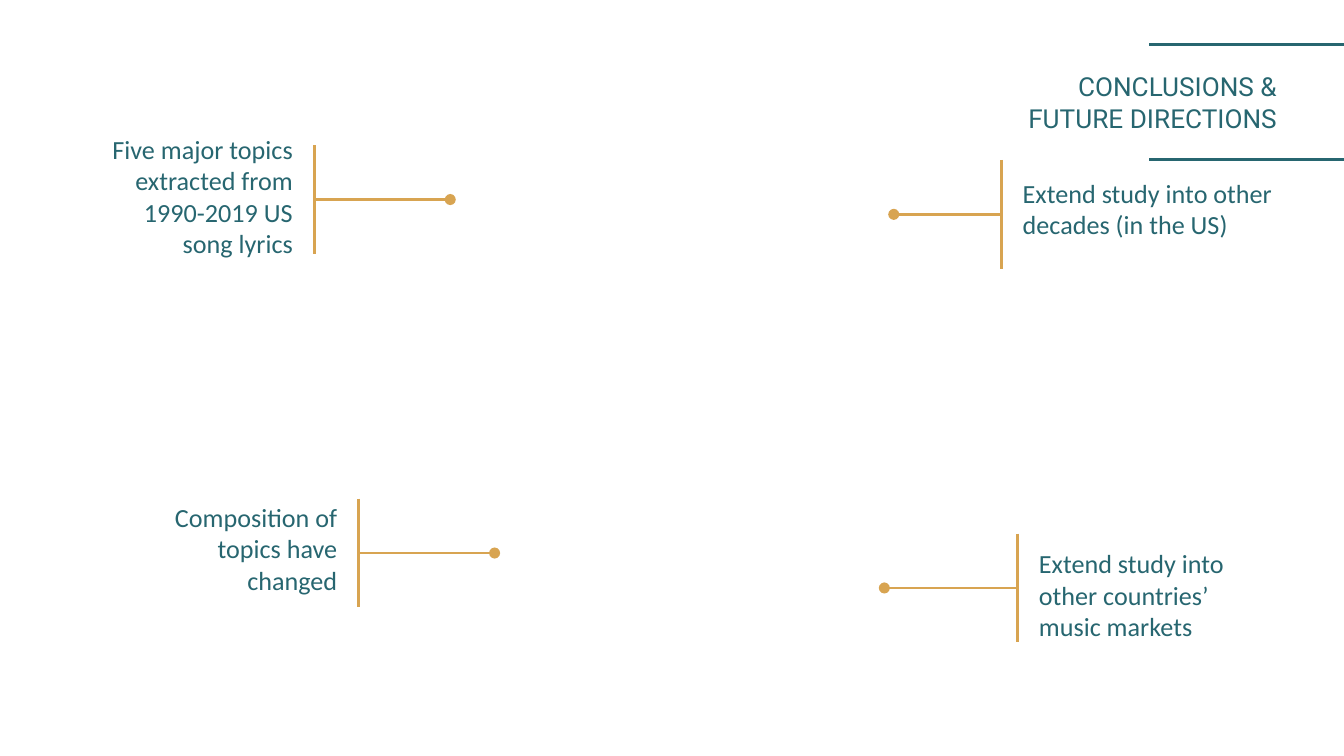
from dataclasses import dataclass

import lxml.etree
import pptx
import pptx.dml.color
import pptx.enum.shapes
import pptx.enum.text
import pptx.oxml.ns
import pptx.util

SLIDE_WIDTH = 10
SLIDE_HEIGHT = 5.625
COLUMNS = 100
CELL = SLIDE_WIDTH / COLUMNS
ROWS = SLIDE_HEIGHT / CELL

ALIGN = pptx.enum.text.PP_ALIGN


@dataclass(frozen=True)
class Theme:
    teal: str = "276670"
    gold: str = "D8A451"
    body_font: str = "Calibri"
    title_font: str = "Roboto"
    text_size: float = 14
    line_width: float = 1.5


@dataclass(frozen=True)
class Box:
    left: float
    top: float
    width: float
    height: float


@dataclass(frozen=True)
class Callout:
    text: str
    box: Box
    note_width: float
    note_top: float
    note_height: float
    note_on_left: bool


THEME = Theme()
NOTE_GAP = 1.6
BRACKET_HEIGHT = 8.1

CALLOUTS = [
    Callout("Five major topics extracted from 1990-2019 US song lyrics",
            Box(7, 10.8, 26.5, BRACKET_HEIGHT), 14.8, -2.6, 12.7, True),
    Callout("Composition of topics have changed",
            Box(11.9, 37.1, 24.9, BRACKET_HEIGHT), 13.2, -2.7, 12.7, True),
    Callout("Extend study into other decades (in the US)",
            Box(66.5, 11.9, 29.9, BRACKET_HEIGHT), 20.3, 1.5, 4.1, False),
    Callout("Extend study into other countries’ music markets",
            Box(65.8, 39.7, 26.6, BRACKET_HEIGHT), 15.1, 1.7, 5.6, False),
]


def cells(count):
    return pptx.util.Inches(count * CELL)


def rgb(color):
    return pptx.dml.color.RGBColor.from_string(color)


def add_line(page, start, end, color, dot=False):
    line = page.shapes.add_connector(
        pptx.enum.shapes.MSO_CONNECTOR.STRAIGHT,
        *(cells(value) for value in (*start, *end)))
    line.line.color.rgb = rgb(color)
    line.line.width = pptx.util.Pt(THEME.line_width)
    if dot:
        tail = lxml.etree.SubElement(
            line.line._get_or_add_ln(), pptx.oxml.ns.qn("a:tailEnd"))
        tail.set("type", "oval")
    lxml.etree.SubElement(
        line._element.spPr, pptx.oxml.ns.qn("a:effectLst"))


def add_text(page, box, text, font, align, insets):
    shape = page.shapes.add_textbox(
        cells(box.left), cells(box.top), cells(box.width), cells(box.height))
    frame = shape.text_frame
    frame.word_wrap = True
    frame.vertical_anchor = pptx.enum.text.MSO_ANCHOR.MIDDLE
    (frame.margin_left, frame.margin_top,
     frame.margin_right, frame.margin_bottom) = map(cells, insets)
    para = frame.paragraphs[0]
    para.text = text
    para.alignment = align
    para.font.name = font
    para.font.size = pptx.util.Pt(THEME.text_size)
    para.font.color.rgb = rgb(THEME.teal)


def add_header(page, box):
    right = box.left + box.width
    rule_left = right - 14.5
    for offset in (2.1, 10.7):
        height = box.top + offset
        add_line(page, (rule_left, height), (right, height), THEME.teal)
    title = Box(box.left, box.top, box.width - 4, box.height)
    add_text(page, title, "CONCLUSIONS & FUTURE DIRECTIONS",
             THEME.title_font, ALIGN.RIGHT, (1, 1, 1, 1))


def add_callout(page, callout):
    box = callout.box
    right = box.left + box.width
    inset = callout.note_width + NOTE_GAP
    if callout.note_on_left:
        note_left, rule, dot = box.left, box.left + inset, right
        align = ALIGN.RIGHT
    else:
        note_left, rule, dot = right - callout.note_width, right - inset, box.left
        align = ALIGN.LEFT
    note = Box(note_left, box.top + callout.note_top,
               callout.note_width, callout.note_height)
    middle = box.top + box.height / 2
    add_text(page, note, callout.text, THEME.body_font, align, (0, 0.1, 0, 0))
    add_line(page, (rule, middle), (dot, middle), THEME.gold, dot=True)
    add_line(page, (rule, box.top), (rule, box.top + box.height), THEME.gold)


def main():
    deck = pptx.Presentation()
    deck.slide_width = cells(COLUMNS)
    deck.slide_height = cells(ROWS)
    page = deck.slides.add_slide(deck.slide_layouts[6])
    add_header(page, Box(74.2, 1.2, 25.8, 12.8))
    for callout in CALLOUTS:
        add_callout(page, callout)
    deck.save("out.pptx")


if __name__ == "__main__":
    main()
